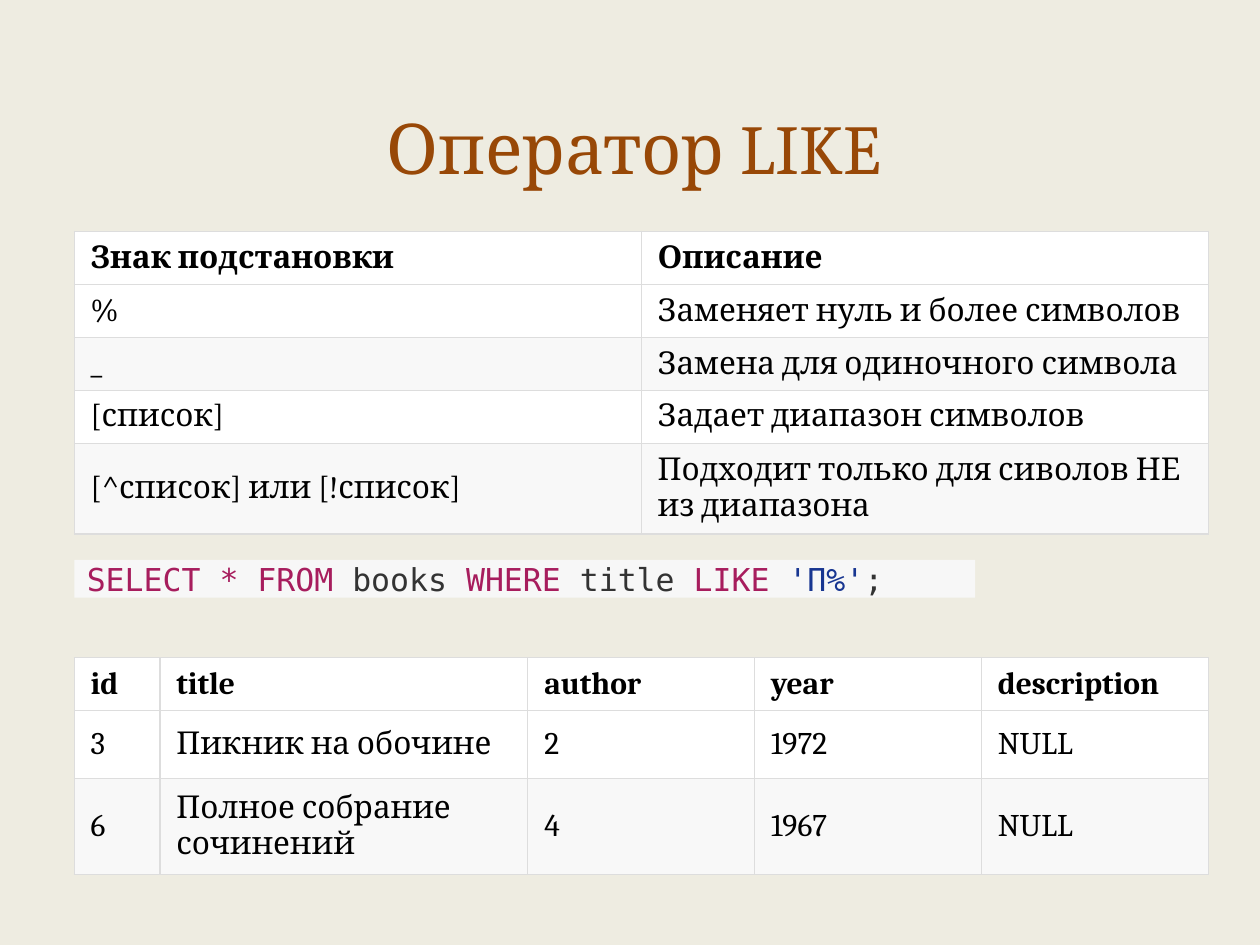
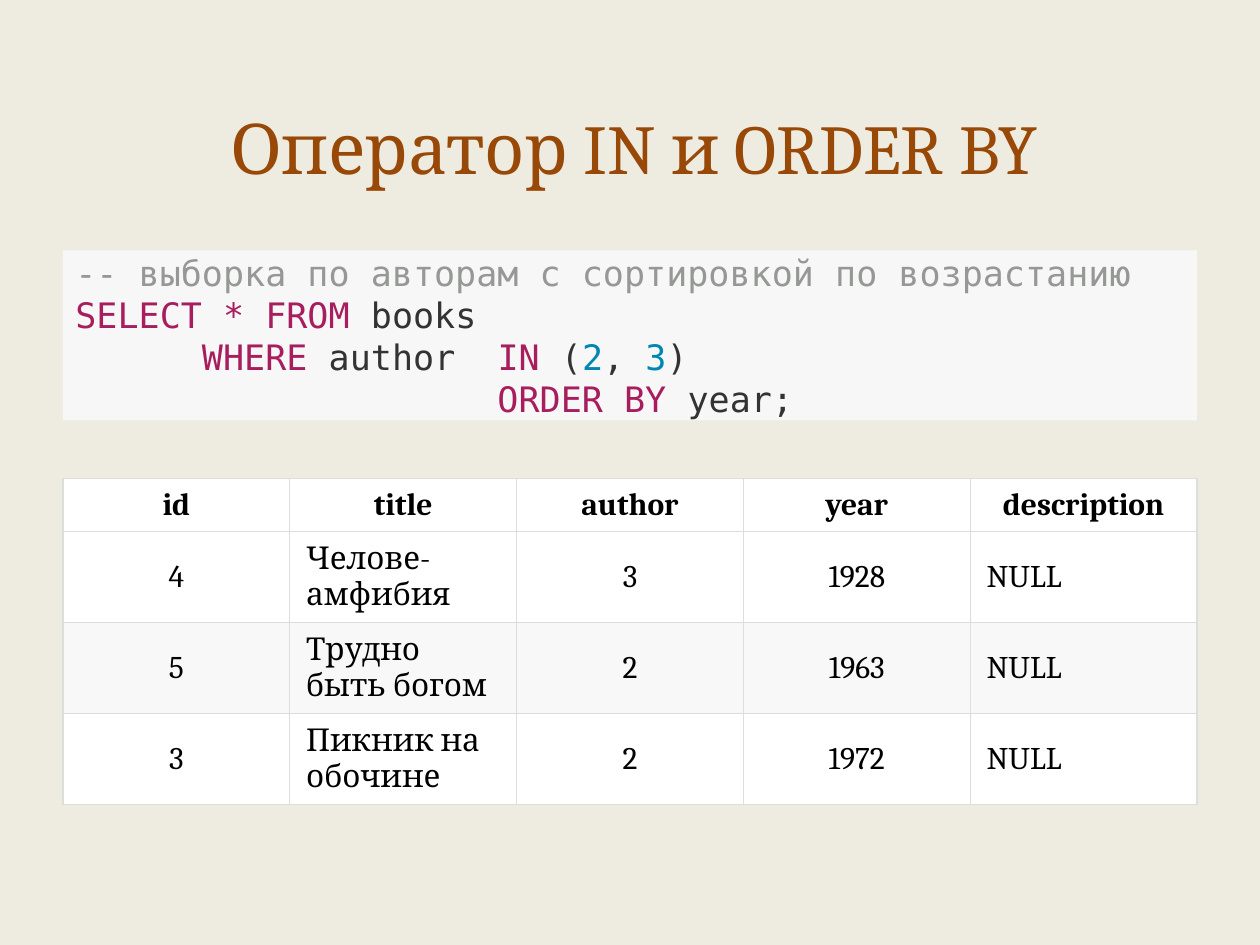
from dataclasses import dataclass
from typing import NamedTuple

from lxml.etree import SubElement
from pptx import Presentation
from pptx.dml.color import RGBColor as RGB
from pptx.enum.shapes import MSO_SHAPE as Shape
from pptx.enum.text import MSO_ANCHOR as Anchor, PP_ALIGN as Align
from pptx.oxml.ns import qn
from pptx.util import Emu, Inches, Pt

SLIDE_W, SLIDE_H = Inches(10), Inches(7.5)
ALIGNS = {"l": Align.LEFT, "c": Align.CENTER}


@dataclass(frozen=True)
class Theme:
    background: str = "EEECE1"
    title: str = "984807"
    text: str = "000000"
    row: str = "FFFFFF"
    alt_row: str = "F8F8F8"
    border: str = "DDDDDD"
    code_fill: str = "F7F7F7"
    keyword: str = "A71D5D"
    plain: str = "333333"
    string: str = "183691"
    number: str = "0086B3"
    comment: str = "969896"
    body_font: str = "Cambria"
    code_font: str = "DejaVu Sans Mono"
    title_size: int = 40
    body_size: int = 18
    border_width: float = 0.75


THEME = Theme()


class Box(NamedTuple):
    """Left, top, width and height in percent of the slide."""
    left: float
    top: float
    width: float
    height: float

    def emu(self) -> tuple:
        return (across(self.left), down(self.top), across(self.width), down(self.height))


class Token(NamedTuple):
    text: str
    color: str


@dataclass(frozen=True)
class CodeBlock:
    box: Box
    size: int
    lines: list


@dataclass(frozen=True)
class DataTable:
    """Column widths and row heights are in percent of the slide."""
    left: float
    top: float
    cols: list
    rows: list
    cells: list
    header_align: str = "l"
    body_aligns: str = "lllll"


@dataclass(frozen=True)
class SlideSpec:
    title: str
    blocks: list


def across(percent: float) -> Emu:
    return Emu(round(SLIDE_W * percent / 100))


def down(percent: float) -> Emu:
    return Emu(round(SLIDE_H * percent / 100))


def add_run(p, text: str, font: str, size: float, color: str, bold: bool = False) -> None:
    r = p.add_run()
    r.text = text
    r.font.name, r.font.size, r.font.bold = font, Pt(size), bold
    r.font.color.rgb = RGB.from_string(color)


def add_title(s, text: str) -> None:
    tf = s.shapes.add_textbox(*TITLE_BOX.emu()).text_frame
    tf.word_wrap, tf.vertical_anchor = True, Anchor.MIDDLE
    p = tf.paragraphs[0]
    p.alignment = Align.CENTER
    add_run(p, text, THEME.body_font, THEME.title_size, THEME.title)


def add_code(s, code: CodeBlock) -> None:
    sp = s.shapes.add_shape(Shape.RECTANGLE, *code.box.emu())
    sp.shadow.inherit = False
    sp.fill.solid()
    sp.fill.fore_color.rgb = RGB.from_string(THEME.code_fill)
    sp.line.fill.background()
    tf = sp.text_frame
    tf.word_wrap, tf.vertical_anchor = True, Anchor.MIDDLE
    tf.margin_left = tf.margin_right = Inches(0.1)
    tf.margin_top = tf.margin_bottom = 0
    for i, line in enumerate(code.lines):
        p = tf.add_paragraph() if i else tf.paragraphs[0]
        p.alignment = Align.LEFT
        for token in line:
            add_run(p, token.text, THEME.code_font, code.size, token.color)


def add_borders(cell) -> None:
    """Border lines must come before the fill in the cell properties."""
    tc_pr = cell._tc.get_or_add_tcPr()
    for side in ("a:lnL", "a:lnR", "a:lnT", "a:lnB"):
        ln = SubElement(tc_pr, qn(side), w=str(Pt(THEME.border_width)))
        fill = SubElement(ln, qn("a:solidFill"))
        SubElement(fill, qn("a:srgbClr"), val=THEME.border)


def add_data_table(s, data: DataTable) -> None:
    box = Box(data.left, data.top, sum(data.cols), sum(data.rows))
    table = s.shapes.add_table(len(data.rows), len(data.cols), *box.emu()).table
    for col, width in zip(table.columns, data.cols):
        col.width = across(width)
    for i, (row, height) in enumerate(zip(table.rows, data.rows)):
        row.height = down(height)
        row_fill = THEME.alt_row if i and i % 2 == 0 else THEME.row
        aligns = data.body_aligns if i else data.header_align * len(data.cols)
        for cell, text, align in zip(row.cells, data.cells[i], aligns):
            add_borders(cell)
            cell.fill.solid()
            cell.fill.fore_color.rgb = RGB.from_string(row_fill)
            cell.vertical_anchor = Anchor.MIDDLE
            cell.margin_left = cell.margin_right = Inches(0.13)
            cell.margin_top = cell.margin_bottom = Inches(0.06)
            p = cell.text_frame.paragraphs[0]
            p.alignment = ALIGNS[align]
            add_run(p, text, THEME.body_font, THEME.body_size, THEME.text, bold=i == 0)


def add_slide(prs, spec: SlideSpec) -> None:
    s = prs.slides.add_slide(prs.slide_layouts[6])
    s.background.fill.solid()
    s.background.fill.fore_color.rgb = RGB.from_string(THEME.background)
    add_title(s, spec.title)
    for block in spec.blocks:
        if isinstance(block, CodeBlock):
            add_code(s, block)
        else:
            add_data_table(s, block)


def kw(text: str) -> Token:
    return Token(text, THEME.keyword)


def plain(text: str) -> Token:
    return Token(text, THEME.plain)


def num(text: str) -> Token:
    return Token(text, THEME.number)


TITLE_BOX = Box(5.3, 7.2, 90, 16.67)
BOOK_FIELDS = ["id", "title", "author", "year", "description"]

LIKE_SLIDE = SlideSpec("Оператор LIKE", [
    DataTable(5.9, 24.5, [45] * 2, [5.5] * 4 + [9.4], [
        ["Знак подстановки", "Описание"],
        ["%", "Заменяет нуль и более символов"],
        ["_", "Замена для одиночного символа"],
        ["[список]", "Задает диапазон символов"],
        ["[^список] или [!список]", "Подходит только для сиволов НЕ из диапазона"],
    ]),
    CodeBlock(Box(5.9, 59.25, 71.5, 4), 18, [
        [kw("SELECT * FROM "), plain("books "), kw("WHERE "), plain("title "),
         kw("LIKE "), Token("'П%'", THEME.string), plain(";")],
    ]),
    DataTable(5.9, 69.6, [6.8, 29.2] + [18] * 3, [5.6, 7.2, 10.13], [
        BOOK_FIELDS,
        ["3", "Пикник на обочине", "2", "1972", "NULL"],
        ["6", "Полное собрание сочинений", "4", "1967", "NULL"],
    ]),
])

IN_SLIDE = SlideSpec("Оператор IN и ORDER BY", [
    CodeBlock(Box(5, 26.5, 90, 18), 20, [
        [Token("-- выборка по авторам с сортировкой по возрастанию", THEME.comment)],
        [kw("SELECT * FROM "), plain("books")],
        [kw("      WHERE "), plain("author  "), kw("IN"), plain(" ("), num("2"),
         plain(", "), num("3"), plain(")")],
        [kw("                    ORDER BY "), plain("year;")],
    ]),
    DataTable(5, 50.67, [18] * 5, [5.6] + [9.63] * 3, [
        BOOK_FIELDS,
        ["4", "Челове-амфибия", "3", "1928", "NULL"],
        ["5", "Трудно быть богом", "2", "1963", "NULL"],
        ["3", "Пикник на обочине", "2", "1972", "NULL"],
    ], header_align="c", body_aligns="clccl"),
])


def main() -> None:
    prs = Presentation()
    prs.slide_width, prs.slide_height = SLIDE_W, SLIDE_H
    for spec in (LIKE_SLIDE, IN_SLIDE):
        add_slide(prs, spec)
    prs.save("out.pptx")


if __name__ == "__main__":
    main()
